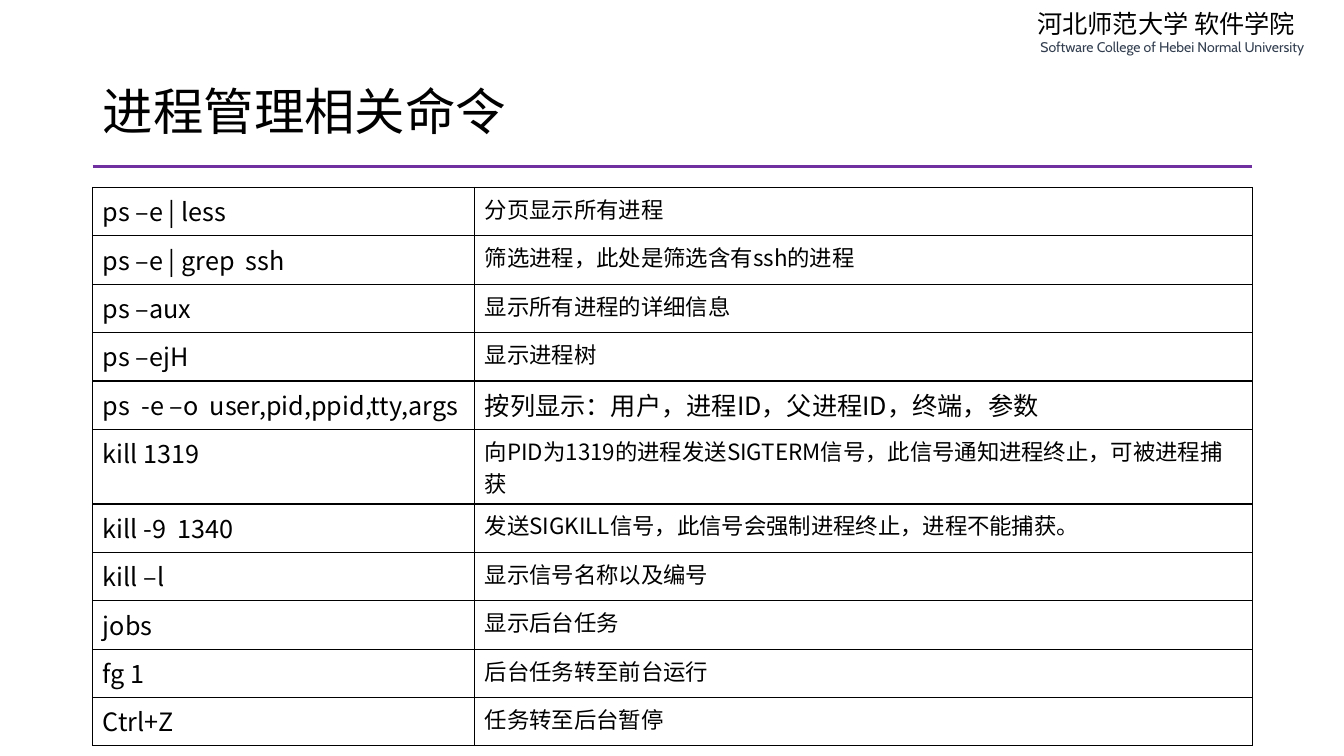
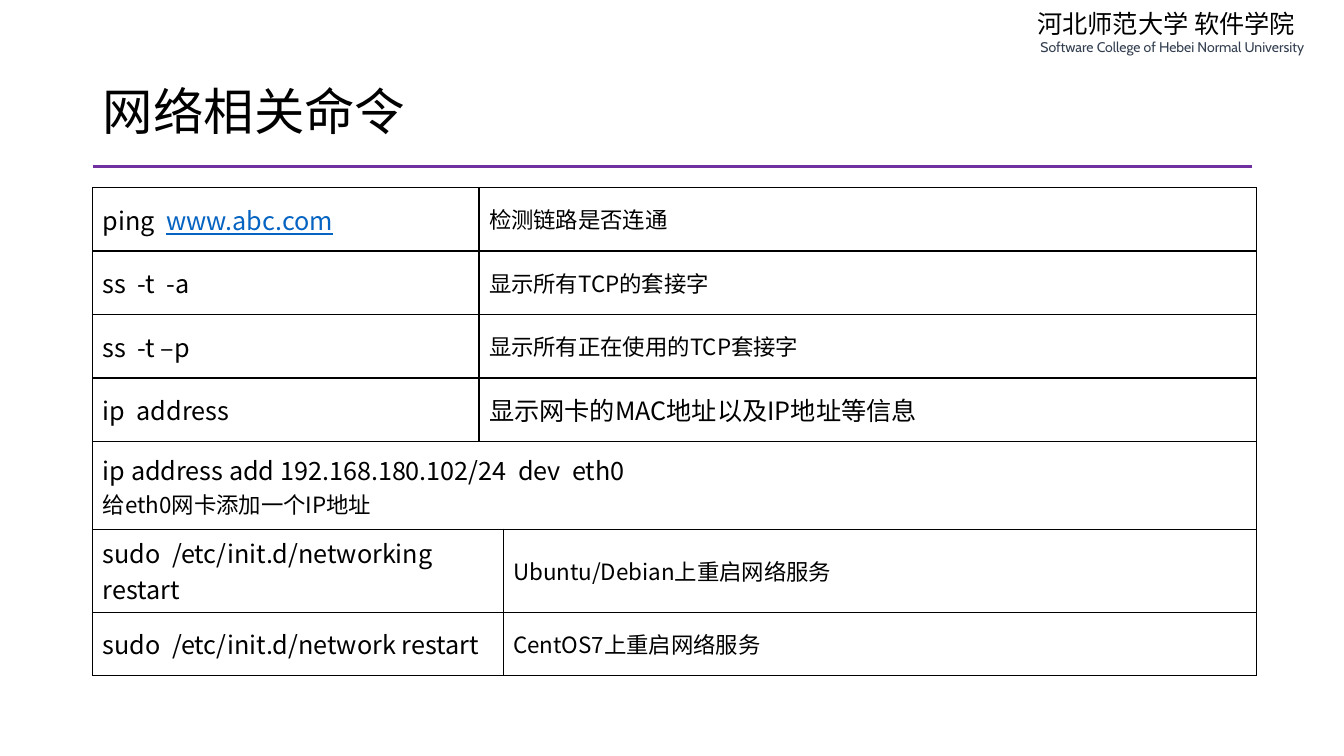
from dataclasses import dataclass
from typing import NamedTuple

from lxml.etree import SubElement
from pptx import Presentation
from pptx.dml.color import RGBColor as Rgb
from pptx.enum.shapes import MSO_CONNECTOR as Connector
from pptx.enum.text import MSO_ANCHOR as Anchor, PP_ALIGN as Align
from pptx.oxml.ns import qn
from pptx.util import Inches, Pt


@dataclass(frozen=True)
class Theme:
    ink: str = "000000"
    school: str = "333F50"
    rule: str = "7030A0"
    link: str = "0563C1"
    body_font: str = "Noto Sans CJK SC"
    school_font: str = "Noto Sans CJK JP"
    latin_font: str = "Cabin"
    title_size: int = 36
    large: int = 18
    normal: int = 16
    small: int = 10
    rule_width: float = 2.25
    border_width: float = 1


class Row(NamedTuple):
    command: str
    description: str
    size: int = 16
    link: str = ""
    split: int = 1
    height: float = 0


THEME = Theme()
WIDTH, HEIGHT = 13.33, 7.5
LEFT, CONTENT_WIDTH = 0.92, 11.5
TITLE_TOP, TITLE_HEIGHT = 0.74, 0.79
RULE_TOP, TABLE_TOP = 1.65, 1.86
SCHOOL = "河北师范大学 软件学院"
SCHOOL_ENGLISH = "Software College of Hebei Normal University"
MERGED = 0

PAGES = [
    dict(
        title="进程管理相关命令",
        columns=[3.79, 7.71],
        row_height=0.48,
        anchor=Anchor.TOP,
        rows=[
            Row("ps –e | less", "分页显示所有进程"),
            Row("ps –e | grep  ssh", "筛选进程，此处是筛选含有ssh的进程"),
            Row("ps –aux", "显示所有进程的详细信息"),
            Row("ps –ejH", "显示进程树"),
            Row("ps  -e –o  user,pid,ppid,tty,args",
                "按列显示：用户，进程ID，父进程ID，终端，参数", THEME.large),
            Row("kill 1319",
                "向PID为1319的进程发送SIGTERM信号，此信号通知进程终止，可被进程捕获"),
            Row("kill -9  1340", "发送SIGKILL信号，此信号会强制进程终止，进程不能捕获。"),
            Row("kill –l", "显示信号名称以及编号"),
            Row("jobs", "显示后台任务"),
            Row("fg 1", "后台任务转至前台运行"),
            Row("Ctrl+Z", "任务转至后台暂停"),
        ],
    ),
    dict(
        title="网络相关命令",
        columns=[3.83, 0.24, 7.47],
        row_height=0.63,
        anchor=Anchor.MIDDLE,
        rows=[
            Row("ping  ", "检测链路是否连通", link="www.abc.com"),
            Row("ss  -t  -a", "显示所有TCP的套接字"),
            Row("ss  -t –p", "显示所有正在使用的TCP套接字"),
            Row("ip  address", "显示网卡的MAC地址以及IP地址等信息", THEME.large),
            Row("ip address add 192.168.180.102/24  dev  eth0",
                "给eth0网卡添加一个IP地址", split=MERGED, height=0.87),
            Row("sudo  /etc/init.d/networking  restart",
                "Ubuntu/Debian上重启网络服务", split=2),
            Row("sudo  /etc/init.d/network restart",
                "CentOS7上重启网络服务", split=2),
        ],
    ),
]


def write(paragraph, text, size, font=THEME.body_font, color=THEME.ink):
    paragraph.add_run().text = text
    paragraph.alignment = Align.LEFT
    style = paragraph.font
    style.size = Pt(size)
    style.bold = False
    style.color.rgb = Rgb.from_string(color)
    style.name = font
    defaults = paragraph._p.get_or_add_pPr().get_or_add_defRPr()
    SubElement(defaults, qn("a:ea")).set("typeface", font)


def add_link(paragraph, address):
    run = paragraph.add_run()
    run.text = address
    run.font.underline = True
    run.font.color.rgb = Rgb.from_string(THEME.link)


def furnish_layout(layout, slide):
    for placeholder in list(layout.placeholders):
        if placeholder.placeholder_format.idx:
            placeholder.element.getparent().remove(placeholder.element)
    school = slide.shapes.add_textbox(
        Inches(10.19), Inches(0.03), Inches(3.01), Inches(0.57))
    frame = school.text_frame
    frame.word_wrap = True
    name = frame.paragraphs[0]
    write(name, SCHOOL, THEME.large, THEME.school_font)
    name.line_spacing = Pt(22)
    english = frame.add_paragraph()
    write(english, SCHOOL_ENGLISH, THEME.small, THEME.latin_font, THEME.school)
    english._p.get_or_add_pPr().set("marL", str(Inches(0.03)))

    rule = slide.shapes.add_connector(
        Connector.STRAIGHT, Inches(LEFT), Inches(RULE_TOP),
        Inches(LEFT + CONTENT_WIDTH), Inches(RULE_TOP))
    rule.line.color.rgb = Rgb.from_string(THEME.rule)
    rule.line.width = Pt(THEME.rule_width)
    SubElement(rule.element.spPr, qn("a:effectLst"))
    for part in (school, rule):
        layout.shapes.element.append(part.element)


def set_title(slide, text):
    title = slide.shapes.title
    title.left, title.top = Inches(LEFT), Inches(TITLE_TOP)
    title.width, title.height = Inches(CONTENT_WIDTH), Inches(TITLE_HEIGHT)
    title.text_frame.vertical_anchor = Anchor.MIDDLE
    paragraph = title.text_frame.paragraphs[0]
    write(paragraph, text, THEME.title_size)
    paragraph.line_spacing = 0.9


def frame_cell(cell, anchor):
    properties = cell._tc.get_or_add_tcPr()
    for side in ("lnL", "lnR", "lnT", "lnB"):
        border = SubElement(properties, qn(f"a:{side}"), w=str(Pt(THEME.border_width)))
        fill = SubElement(border, qn("a:solidFill"))
        SubElement(fill, qn("a:srgbClr"), val=THEME.ink)
    cell.fill.background()
    cell.vertical_anchor = anchor


def add_commands(slide, columns, rows, row_height, anchor):
    heights = [row.height or row_height for row in rows]
    table = slide.shapes.add_table(
        len(rows), len(columns), Inches(LEFT), Inches(TABLE_TOP),
        Inches(sum(columns)), Inches(sum(heights))).table
    table.first_row = table.horz_banding = False
    for column, width in zip(table.columns, columns):
        column.width = Inches(width)
    last = len(columns) - 1
    for index, (row, height) in enumerate(zip(rows, heights)):
        table.rows[index].height = Inches(height)
        for column in range(len(columns)):
            frame_cell(table.cell(index, column), anchor)
        command_end = last if row.split == MERGED else row.split - 1
        for start, end in ((0, command_end), (row.split, last)):
            if start < end and not table.cell(index, start).is_merge_origin:
                table.cell(index, start).merge(table.cell(index, end))
        command = table.cell(index, 0).text_frame
        write(command.paragraphs[0], row.command, THEME.large)
        if row.link:
            add_link(command.paragraphs[0], row.link)
        if row.split == MERGED:
            description = command.add_paragraph()
        else:
            description = table.cell(index, row.split).text_frame.paragraphs[0]
        write(description, row.description, row.size)


def main():
    deck = Presentation()
    deck.slide_width, deck.slide_height = Inches(WIDTH), Inches(HEIGHT)
    layout = deck.slide_layouts[5]
    for number, page in enumerate(PAGES):
        slide = deck.slides.add_slide(layout)
        if number == 0:
            furnish_layout(layout, slide)
        set_title(slide, page["title"])
        add_commands(slide, page["columns"], page["rows"],
                     page["row_height"], page["anchor"])
    deck.save("out.pptx")


if __name__ == "__main__":
    main()
